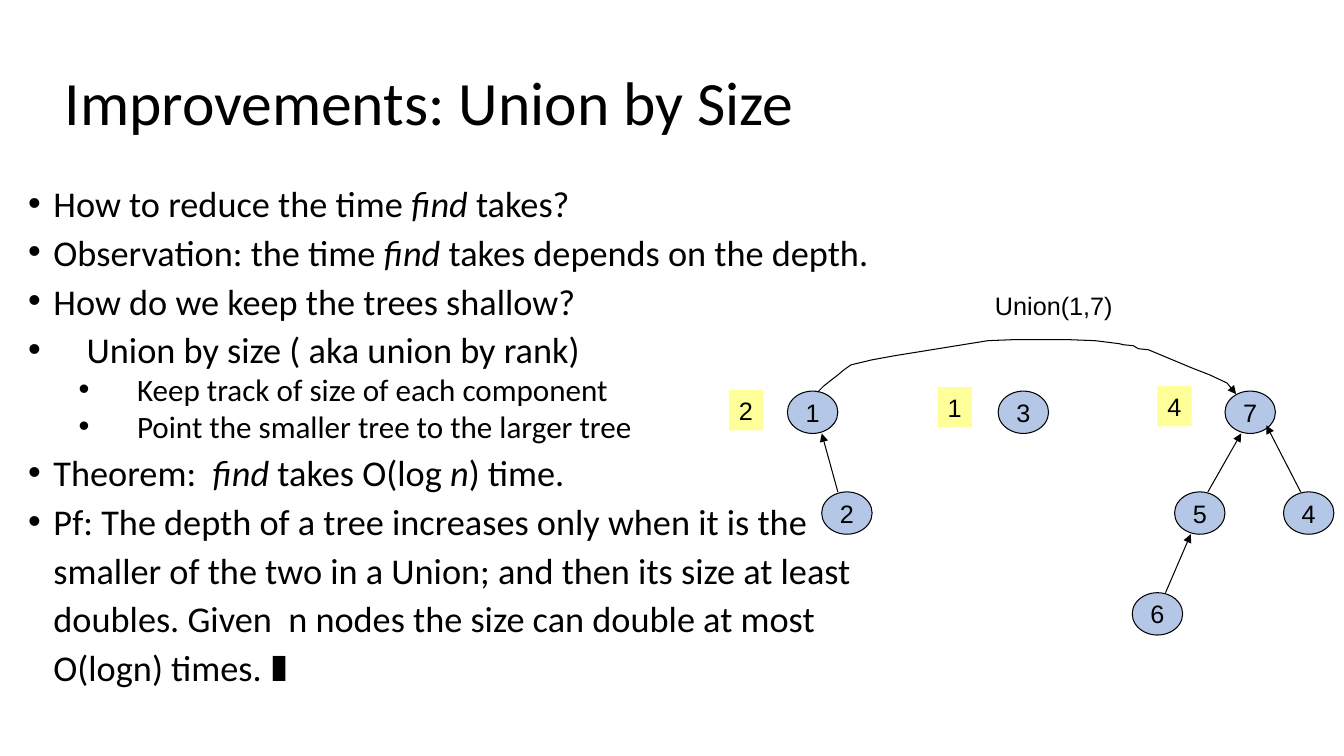
from lxml.etree import SubElement
from pptx import Presentation
from pptx.dml.color import RGBColor
from pptx.enum.shapes import MSO_CONNECTOR, MSO_SHAPE
from pptx.enum.text import MSO_ANCHOR, MSO_AUTO_SIZE, PP_ALIGN
from pptx.oxml.ns import qn
from pptx.util import Inches, Pt

COLORS = {"ink": "000000", "node": "B4C7E7", "size": "FFFF99"}
NODE_W, NODE_H = 0.5, 0.42
NODES = {
    "1": (7.81, 3.88), "2": (8.15, 4.88), "3": (9.9, 3.88), "4": (12.73, 4.88),
    "5": (11.65, 4.88), "6": (11.23, 5.88), "7": (12.15, 3.88),
}
LINKS = [
    (8.31, 4.88, 8.15, 4.3), (11.98, 4.88, 12.31, 4.3),
    (12.9, 4.88, 12.56, 4.22), (11.56, 5.88, 11.81, 5.3),
]
SIZES = [("2", 7.23, 3.87), ("4", 11.48, 3.83), ("1", 9.3, 3.84)]
UNION_CURVE = [
    (8.11, 3.89), (8.17, 3.83), (8.22, 3.79), (8.31, 3.72), (8.37, 3.67),
    (8.44, 3.62), (8.65, 3.57), (8.87, 3.53), (9.55, 3.42), (9.8, 3.38),
    (10.05, 3.37), (10.6, 3.37), (10.86, 3.38), (11.1, 3.41), (11.14, 3.42),
    (11.24, 3.43), (11.29, 3.46), (11.39, 3.47), (11.82, 3.65),
    (12.0, 3.72), (12.17, 3.8), (12.26, 3.91),
]
BULLETS = [
    ("How to reduce the time *find* takes?", "point"),
    ("Observation: the time *find* takes depends on the depth.", "point"),
    ("How do we keep the trees shallow?", "point"),
    ("Union by size ( aka union by rank)", "wide"),
    ("Keep track of size of each component", "sub"),
    ("Point the smaller tree to the larger tree", "sub"),
    ("Theorem:  *find* takes O(log *n*) time.", "point"),
    ("Pf: The depth of a tree increases only when it is the", "point"),
    ("smaller of the two in a Union; and then its size at least", "rest"),
    ("doubles. Given  n nodes the size can double at most", "rest"),
    ("O(logn) times. ", "rest"),
]
STYLES = {
    "point": (0, 0.25, -0.25, 25.9, 10), "wide": (0, 0.58, -0.58, 25.9, 10),
    "sub": (1, 1.08, -0.58, 22.2, 5), "rest": (0, 0.25, 0, 25.9, 10),
}


def rgb(name):
    return RGBColor.from_string(COLORS[name])


def place(s, left, top, width, height):
    s.left, s.top = Inches(left), Inches(top)
    s.width, s.height = Inches(width), Inches(height)


def format_run(r, font, size, italic=None):
    r.font.name, r.font.size, r.font.italic = font, Pt(size), italic
    r.font.color.rgb = rgb("ink")


def add_title(s, text):
    place(s, 0.54, 0.42, 8.5, 1.25)
    tf = s.text_frame
    tf.text = text
    tf.vertical_anchor = MSO_ANCHOR.MIDDLE
    p = tf.paragraphs[0]
    p.alignment, p.line_spacing = PP_ALIGN.LEFT, 0.9
    format_run(p.runs[0], "Calibri", 44)


def add_bullet(p, text, style):
    level, margin, indent, size, before = STYLES[style]
    p.level, p.line_spacing, p.space_before = level, 0.8, Pt(before)
    pPr = p._p.get_or_add_pPr()
    pPr.set("marL", str(Inches(margin)))
    pPr.set("indent", str(Inches(indent)))
    if style == "rest":
        SubElement(pPr, qn("a:buNone"))
    else:
        SubElement(pPr, qn("a:buFont"), typeface="Arial")
        SubElement(pPr, qn("a:buChar"), char="•")
    for i, part in enumerate(text.split("*")):
        r = p.add_run()
        r.text = part
        format_run(r, "Calibri", size, i % 2 == 1)


def add_body(s):
    place(s, 0.18, 1.83, 8.72, 5.48)
    tf = s.text_frame
    tf.auto_size = MSO_AUTO_SIZE.NONE
    for i, (text, style) in enumerate(BULLETS):
        p = tf.add_paragraph() if i else tf.paragraphs[0]
        add_bullet(p, text, style)
    r = p.add_run()
    r.text = "∎"
    format_run(r, "Cambria", 25.9)


def set_label(s, text, align):
    tf = s.text_frame
    tf.text = text
    tf.word_wrap = False
    tf.vertical_anchor = MSO_ANCHOR.MIDDLE
    p = tf.paragraphs[0]
    p.alignment = align
    format_run(p.runs[0], "Arial", 18)


def set_line(s, arrow=False):
    s.line.color.rgb = rgb("ink")
    s.line.width = Pt(0.75)
    if arrow:
        SubElement(s.line._get_or_add_ln(), qn("a:tailEnd"), type="triangle")


def add_box(sp, kind, text, box, fill, align):
    s = sp.add_shape(kind, *map(Inches, box))
    s.shadow.inherit = False
    s.fill.solid()
    s.fill.fore_color.rgb = rgb(fill)
    s.line.fill.background()
    set_label(s, text, align)
    return s


def add_link(sp, *ends):
    s = sp.add_connector(MSO_CONNECTOR.STRAIGHT, *map(Inches, ends))
    set_line(s, arrow=True)
    SubElement(s._element.spPr, qn("a:effectLst"))


def add_curve(sp, points):
    start, *rest = [(Inches(x), Inches(y)) for x, y in points]
    builder = sp.build_freeform(*start)
    builder.add_line_segments(rest, close=False)
    s = builder.convert_to_shape()
    s.shadow.inherit = False
    s.fill.background()
    set_line(s, arrow=True)


def main():
    prs = Presentation()
    prs.slide_width, prs.slide_height = Inches(13.33), Inches(7.5)
    slide = prs.slides.add_slide(prs.slide_layouts[1])
    sp = slide.shapes
    add_title(sp.title, "Improvements: Union by Size")
    add_body(slide.placeholders[1])
    for text, (x, y) in NODES.items():
        node = add_box(sp, MSO_SHAPE.OVAL, text, (x, y, NODE_W, NODE_H),
                       "node", PP_ALIGN.CENTER)
        set_line(node)
    for link in LINKS:
        add_link(sp, *link)
    add_curve(sp, UNION_CURVE)
    label = sp.add_textbox(Inches(9.77), Inches(2.83), Inches(1.38), Inches(0.4))
    set_label(label, "Union(1,7)", PP_ALIGN.LEFT)
    for text, x, y in SIZES:
        add_box(sp, MSO_SHAPE.RECTANGLE, text, (x, y, 0.34, 0.4),
                "size", PP_ALIGN.LEFT)
    prs.save("out.pptx")


if __name__ == "__main__":
    main()
